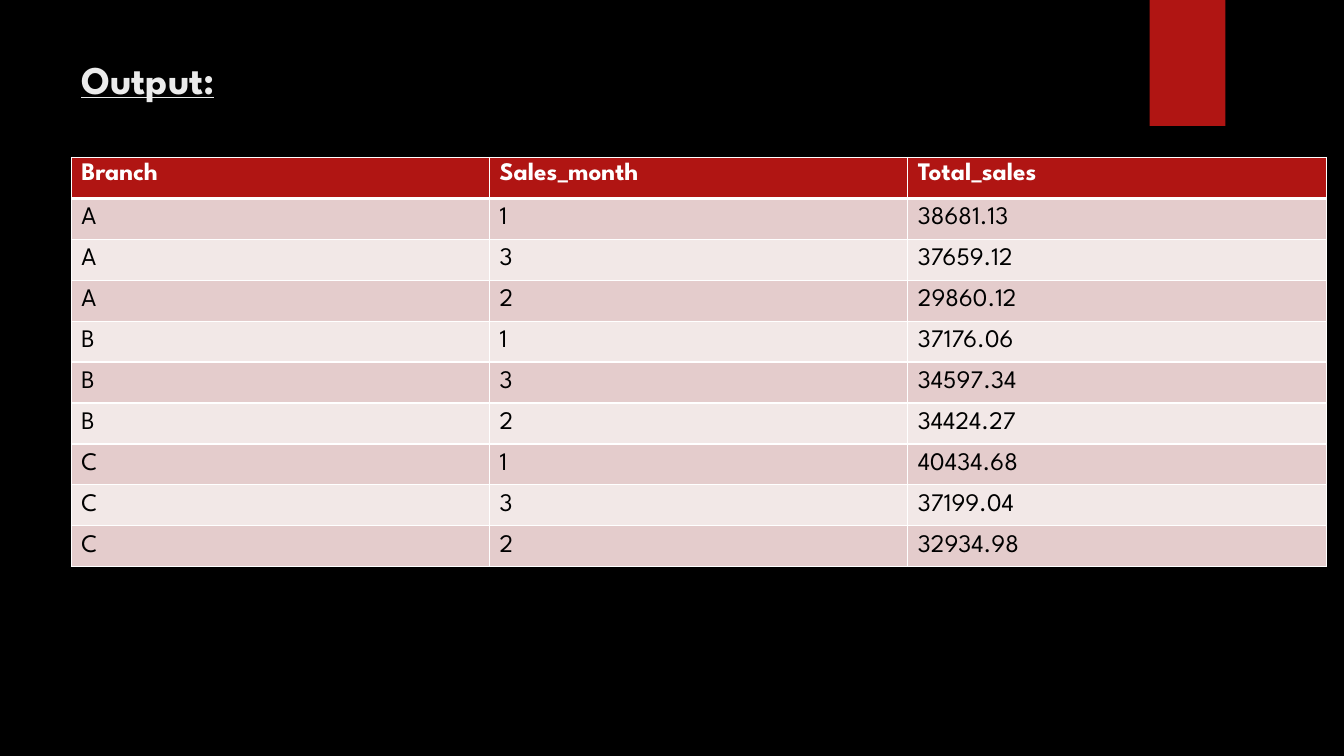
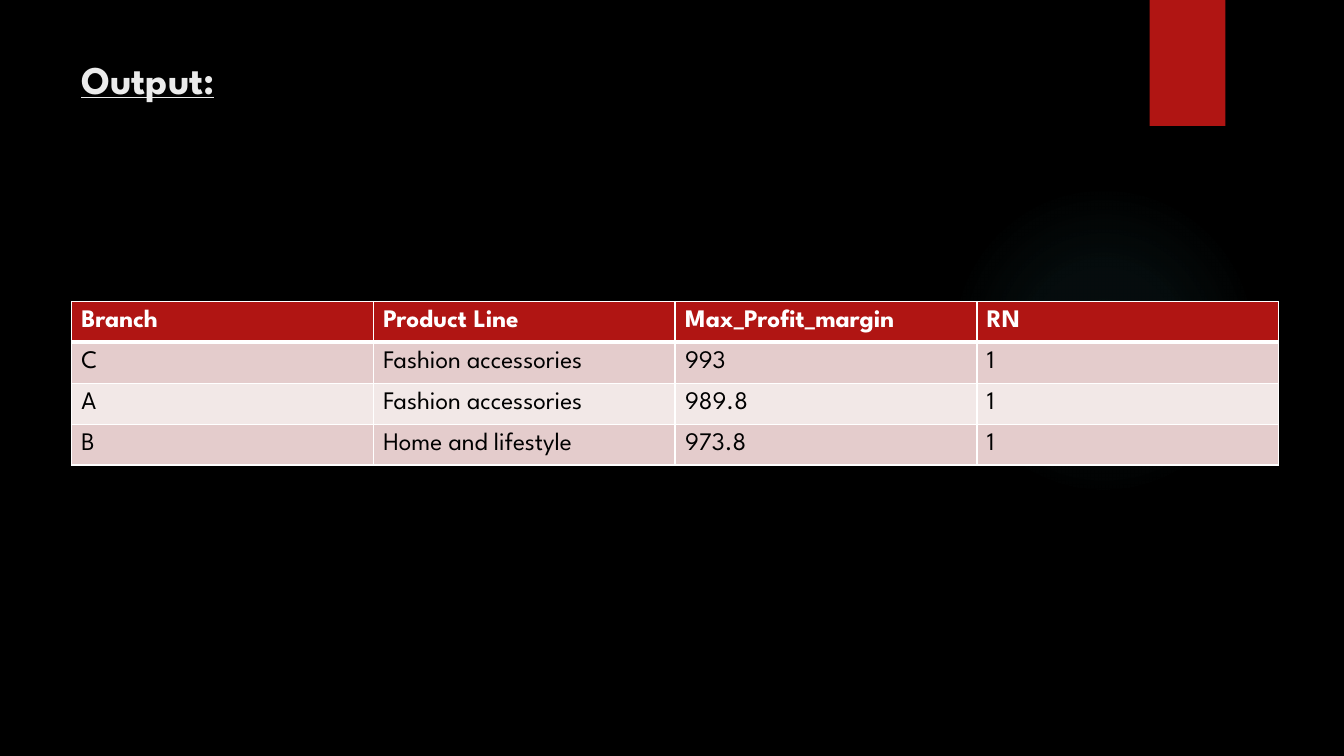
"""Build two sales output slides, each a titled table on a black ground."""
from dataclasses import dataclass

from pptx import Presentation
from pptx.dml.color import RGBColor
from pptx.enum.shapes import MSO_SHAPE
from pptx.enum.text import MSO_ANCHOR, PP_ALIGN
from pptx.oxml import parse_xml
from pptx.oxml.ns import nsdecls
from pptx.util import Inches, Pt


@dataclass(frozen=True)
class Theme:
    font: str = "League Spartan"
    back: str = "000000"
    red: str = "B01513"
    glow: str = "50B9C1"
    title: str = "EBEBEB"
    white: str = "FFFFFF"
    ink: str = "000000"
    bands: tuple = ("E4CCCC", "F2E8E7")
    big: int = 28
    text: int = 18
    thin: int = 1
    thick: int = 3


look = Theme()
deck = Presentation()
deck.slide_width, deck.slide_height = Inches(40 / 3), Inches(7.5)
step = deck.slide_width // 1280


def apply(item, form):
    for name, value in form.items():
        setattr(item, name, value)


def paint(fill, color):
    fill.solid()
    fill.fore_color.rgb = RGBColor.from_string(color)


title_form = {"name": look.font, "size": Pt(look.big), "bold": True, "underline": True}
cell_form = {"name": look.font, "size": Pt(look.text)}
left = 68 * step
row_high = 39 * step

pages = [
    {
        "title": (988, 89),
        "top": 150,
        "wide": 1195,
        "anchor": MSO_ANCHOR.TOP,
        "rows": [
            ("Branch", "Sales_month", "Total_sales"),
            ("A", "1", "38681.13"),
            ("A", "3", "37659.12"),
            ("A", "2", "29860.12"),
            ("B", "1", "37176.06"),
            ("B", "3", "34597.34"),
            ("B", "2", "34424.27"),
            ("C", "1", "40434.68"),
            ("C", "3", "37199.04"),
            ("C", "2", "32934.98"),
        ],
    },
    {
        "title": (1118, 69),
        "top": 287,
        "wide": 1150,
        "anchor": MSO_ANCHOR.MIDDLE,
        "rows": [
            ("Branch", "Product Line", "Max_Profit_margin", "RN"),
            ("C", "Fashion accessories", "993", "1"),
            ("A", "Fashion accessories", "989.8", "1"),
            ("B", "Home and lifestyle", "973.8", "1"),
        ],
    },
]

paint(deck.slide_master.background.fill, look.back)
layout = deck.slide_layouts[5]
slides = [deck.slides.add_slide(layout) for page in pages]

decor = []
for kind, box in (
    (MSO_SHAPE.OVAL, (903, 176, 296, 296)),
    (MSO_SHAPE.RECTANGLE, (1095, 0, 72, 120)),
):
    shape = slides[0].shapes.add_shape(kind, *[n * step for n in box])
    shape.line.fill.background()
    shape.shadow.inherit = False
    layout.shapes.element.append(shape.element)
    decor.append(shape)
orb, ribbon = decor

paint(ribbon.fill, look.red)
ribbon.element.spPr.find("{*}effectLst").append(parse_xml(
    f'<a:outerShdw {nsdecls("a")} blurRad="{Pt(3)}" dist="{Pt(2)}" dir="5400000">'
    f'<a:srgbClr val="{look.back}"><a:alpha val="45000"/></a:srgbClr></a:outerShdw>'
))

stops = "".join(
    f'<a:gs pos="{spot * 1000}"><a:srgbClr val="{look.glow}">'
    f'<a:alpha val="{alpha * 1000}"/></a:srgbClr></a:gs>'
    for spot, alpha in ((0, 7), (36, 6), (69, 0))
)
orb.fill.gradient()
props = orb.element.spPr
props.replace(props.find("{*}gradFill"), parse_xml(
    f'<a:gradFill {nsdecls("a")}><a:gsLst>{stops}</a:gsLst><a:path path="circle">'
    '<a:fillToRect l="50000" t="50000" r="50000" b="50000"/></a:path></a:gradFill>'
))

for slide, page in zip(slides, pages):
    title = slide.shapes.title
    wide, high = page["title"]
    apply(title, {"left": left, "top": 48 * step,
                  "width": wide * step, "height": high * step})
    title.text = "Output:"
    apply(title.text_frame, {"vertical_anchor": MSO_ANCHOR.TOP, "word_wrap": True})
    line = title.text_frame.paragraphs[0]
    line.alignment = PP_ALIGN.LEFT
    font = line.runs[0].font
    apply(font, title_form)
    font.color.rgb = RGBColor.from_string(look.title)

    rows = page["rows"]
    table = slide.shapes.add_table(
        len(rows), len(rows[0]), left, page["top"] * step,
        page["wide"] * step, row_high * len(rows),
    ).table
    for r, row in enumerate(rows):
        head = r == 0
        for c, text in enumerate(row):
            cell = table.cell(r, c)
            cell.text = text
            cell.vertical_anchor = page["anchor"] if head else MSO_ANCHOR.MIDDLE
            font = cell.text_frame.paragraphs[0].runs[0].font
            apply(font, cell_form | {"bold": head})
            font.color.rgb = RGBColor.from_string(look.white if head else look.ink)
            for side in "LRTB":
                size = look.thick if (r, side) in ((0, "B"), (1, "T")) else look.thin
                cell._tc.get_or_add_tcPr().append(parse_xml(
                    f'<a:ln{side} {nsdecls("a")} w="{Pt(size)}"><a:solidFill>'
                    f'<a:srgbClr val="{look.white}"/></a:solidFill></a:ln{side}>'
                ))
            paint(cell.fill, look.red if head else look.bands[(r - 1) % 2])

deck.save("out.pptx")
